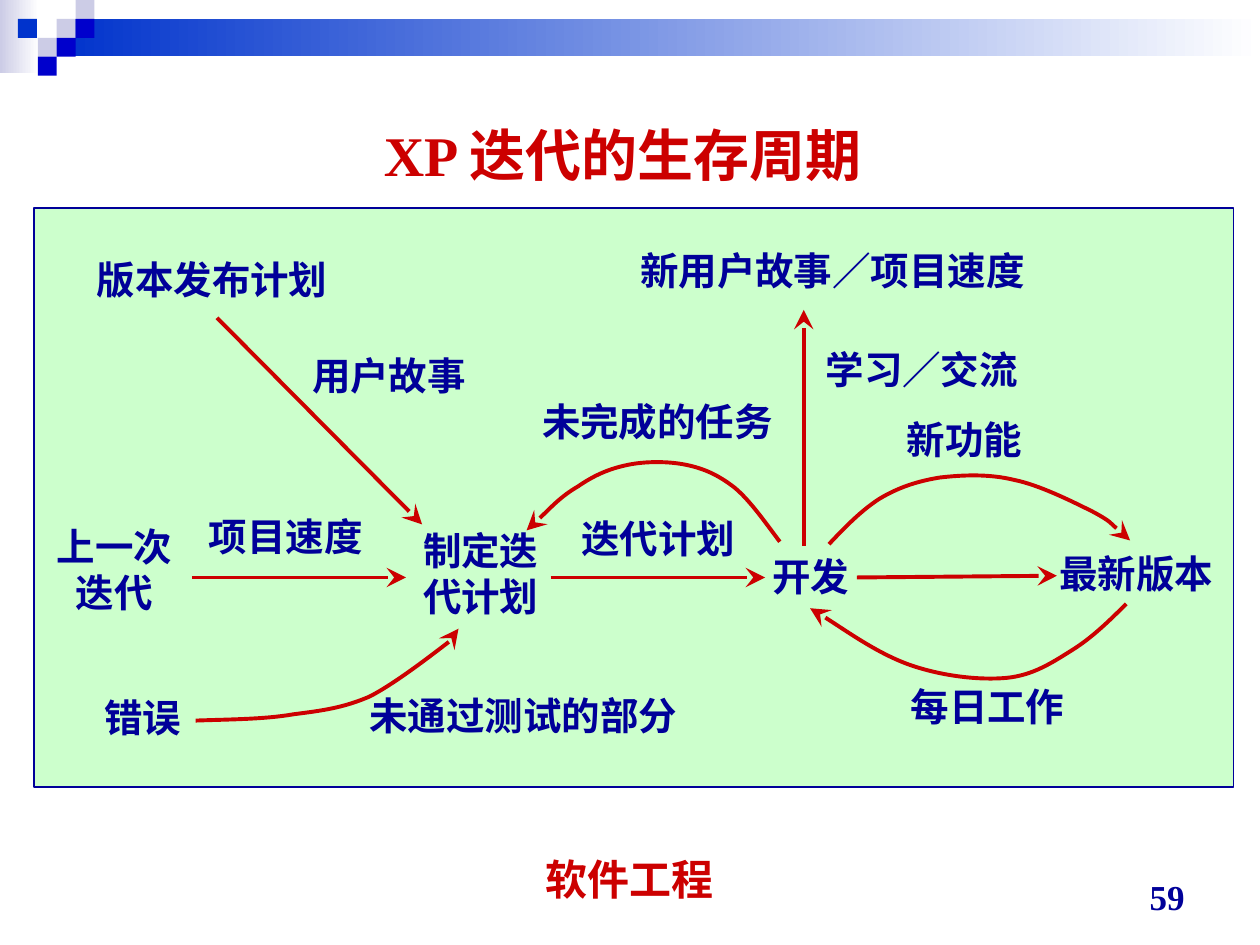
from lxml import etree
from pptx import Presentation
from pptx.dml.color import RGBColor
from pptx.enum import shapes, text
from pptx.oxml import ns
from pptx.util import Pt

RED, NAVY, BLUE, ROYAL, LILAC = "CC0000", "000099", "0000CC", "0033CC", "CCCCE6"
CELL = 10.8
SQUARES = [(3, 1, LILAC), (4, 0, LILAC), (4, 1, BLUE), (2, 2, LILAC),
           (0.95, 1, ROYAL), (3, 2, BLUE), (2, 3, BLUE)]
LABELS = [
    (28.8, 23.8, "版本发布计划"), (339.4, 18.7, "新用户故事／项目速度"),
    (151.9, 78.8, "用户故事"), (5.8, 176.4, "上一次\n迭代"),
    (92.9, 170.6, "项目速度"), (215.3, 178.6, "制定迭\n代计划"),
    (283.3, 105.4, "未完成的任务"), (305.7, 172.1, "迭代计划"),
    (491.8, 115.2, "新功能"), (445.3, 75.6, "学习／交流"),
    (184.6, 272.9, "未通过测试的部分"), (33.3, 274.3, "错误"),
    (415, 193.7, "开发"), (493.9, 267.8, "每日工作"),
    (578.9, 191.8, "最新版本"),
]
ARROWS = [
    (90.3, 211.2, 212.6, 211.2), (295.2, 211.2, 417.8, 211.2),
    (470.2, 211.2, 584.6, 210.2), (439.9, 193, 439.9, 58.3),
    (104.6, 62.8, 221.8, 180.9),
]
CURVES = [
    [(92.4, 293), (111.6, 292.3), (131.8, 292.3), (148.3, 289.4),
     (164.9, 287.3), (176.4, 285.8), (191.5, 279.4),
     (205.9, 272.2), (229, 254.2), (237.6, 247.7),
     (246.2, 241.2), (241.9, 241.9), (242.6, 240.5)],
    [(454.3, 192.2), (463.7, 182.2), (473, 172.8), (483.1, 166.3),
     (493.9, 159.8), (504.7, 156.2), (517.7, 154.1),
     (530.6, 152.6), (545.8, 151.9), (560.2, 155.5),
     (574.6, 158.4), (593.3, 167.8), (604.8, 173.5),
     (615.6, 179.3), (622.8, 187.2), (626.4, 190.1)],
    [(426.2, 190.8), (417.6, 179.3), (409, 167), (400.3, 159.8),
     (391, 152.6), (383, 149), (373, 146.9),
     (362.9, 144.7), (349.2, 144.7), (339.1, 146.9),
     (329, 149), (320.4, 152.6), (311, 159.1),
     (301, 164.9), (286.6, 180), (281.5, 184.3)],
    [(624.2, 226.3), (614.2, 236.2), (604.8, 245.5), (593.3, 252.7),
     (581.8, 259.9), (571, 267.1), (555.8, 268.6),
     (540.7, 270), (519.8, 267.8), (501.1, 261.4),
     (482.4, 254.9), (452.9, 234), (443.5, 228.8)],
]


def color(value):
    """Turn a hex string into a colour."""
    return RGBColor.from_string(value)


def apply(obj, values):
    """Set each attribute named in values on obj."""
    for name, value in values.items():
        setattr(obj, name, value)


def add_rect(slide, box, fill, fade=False, line=None):
    """Add a rectangle, plain or fading to white on the right."""
    sp = slide.shapes.add_shape(shapes.MSO_SHAPE.RECTANGLE, *map(Pt, box))
    sp.shadow.inherit = False
    if fade:
        sp.fill.gradient()
        sp.fill.gradient_angle = 0
        for stop, value in zip(sp.fill.gradient_stops, (fill, "FFFFFF")):
            stop.color.rgb = color(value)
    else:
        sp.fill.solid()
        sp.fill.fore_color.rgb = color(fill)
    if line:
        sp.line.color.rgb = color(line)
        sp.line.width = Pt(0.75)
    else:
        sp.line.fill.background()


def add_text(slide, box, lines, size, value, font="Arial", align="LEFT",
             anchor="TOP", wrap=True):
    """Add bold text, one paragraph per line, and return its frame."""
    tf = slide.shapes.add_textbox(*map(Pt, box)).text_frame
    apply(tf, {"word_wrap": wrap,
               "vertical_anchor": getattr(text.MSO_ANCHOR, anchor)})
    tf.text = lines
    for p in tf.paragraphs:
        p.alignment = getattr(text.PP_ALIGN, align)
        for r in p.runs:
            apply(r.font, {"size": Pt(size), "name": font, "bold": True})
            r.font.color.rgb = color(value)
    return tf


def style_arrow(sp):
    """Give a line or curve its red stroke and large stealth head."""
    sp.line.color.rgb = color(RED)
    sp.line.width = Pt(2.25)
    etree.SubElement(sp.line._get_or_add_ln(), ns.qn("a:tailEnd"),
                     {"type": "stealth", "w": "lg", "len": "lg"})


def add_arrow(slide, x1, y1, x2, y2):
    """Add a straight arrow."""
    sp = slide.shapes.add_connector(shapes.MSO_CONNECTOR.STRAIGHT,
                                    *map(Pt, (x1, y1, x2, y2)))
    style_arrow(sp)
    etree.SubElement(sp._element.spPr, ns.qn("a:effectLst"))


def add_curve(slide, points):
    """Add a curved arrow through a chain of cubic curves."""
    knots = [(Pt(x), Pt(y)) for x, y in points[::3]]
    builder = slide.shapes.build_freeform(*knots[0])
    builder.add_line_segments(knots[1:], close=False)
    sp = builder.convert_to_shape()
    segments = list(sp._element.iter(ns.qn("a:lnTo")))
    for i, segment in enumerate(segments):
        segment.tag = ns.qn("a:cubicBezTo")
        for n, (x, y) in enumerate(points[3 * i + 1:3 * i + 3]):
            pt = etree.Element(ns.qn("a:pt"), x=str(Pt(x) - sp.left),
                               y=str(Pt(y) - sp.top))
            segment.insert(n, pt)
    sp.shadow.inherit = False
    sp.fill.background()
    style_arrow(sp)


def draw_banner(slide, left, top, width):
    """Draw the fading bar and the checker squares."""
    add_rect(slide, (left, top, 22.3, 41.8), LILAC, fade=True)
    add_rect(slide, (left + 3 * CELL, top + CELL, width - 3 * CELL, 21.3),
             ROYAL, fade=True)
    for col, row, value in SQUARES:
        add_rect(slide, (left + col * CELL, top + row * CELL, CELL, CELL), value)


def draw_title(slide, box):
    """Write the slide title."""
    tf = add_text(slide, box, "XP 迭代的生存周期", 32, RED, "Times New Roman",
                  "CENTER", "MIDDLE")
    r = tf.paragraphs[0].add_run()
    r.text = " "
    apply(r.font, {"size": Pt(36), "name": "Arial", "bold": True})


def draw_cycle(slide, left, top, width, height):
    """Draw the iteration cycle on its green panel."""
    add_rect(slide, (left, top, width, height), "CCFFCC", line=NAVY)
    for x, y, label in LABELS:
        lines = label.split("\n")
        box = (left + x, top + y, 22 * len(lines[0]) + 14.4,
               26.6 * len(lines) + 7.2)
        align = "CENTER" if label.startswith("上") else "LEFT"
        add_text(slide, box, label, 22, NAVY, align=align, wrap=False)
    for x1, y1, x2, y2 in ARROWS:
        add_arrow(slide, left + x1, top + y1, left + x2, top + y2)
    for points in CURVES:
        add_curve(slide, [(left + x, top + y) for x, y in points])


def draw_footer(slide, left, top):
    """Write the course name and the page number."""
    add_text(slide, (left, top, 228, 36), "软件工程", 24, RED,
             align="CENTER", anchor="BOTTOM")
    add_text(slide, (left + 270.4, top + 7.5, 167.8, 36), "59", 20, NAVY,
             "Times New Roman", "RIGHT", "BOTTOM")


def main():
    """Build and save the slide."""
    prs = Presentation()
    apply(prs, {"slide_width": Pt(720), "slide_height": Pt(540)})
    slide = prs.slides.add_slide(prs.slide_layouts[6])
    draw_banner(slide, 0, 0, 720)
    draw_title(slide, (36, 49.7, 648, 73.4))
    draw_cycle(slide, 19.4, 118.8, 685.4, 330.9)
    draw_footer(slide, 245.8, 484.2)
    prs.save("out.pptx")


if __name__ == "__main__":
    main()
